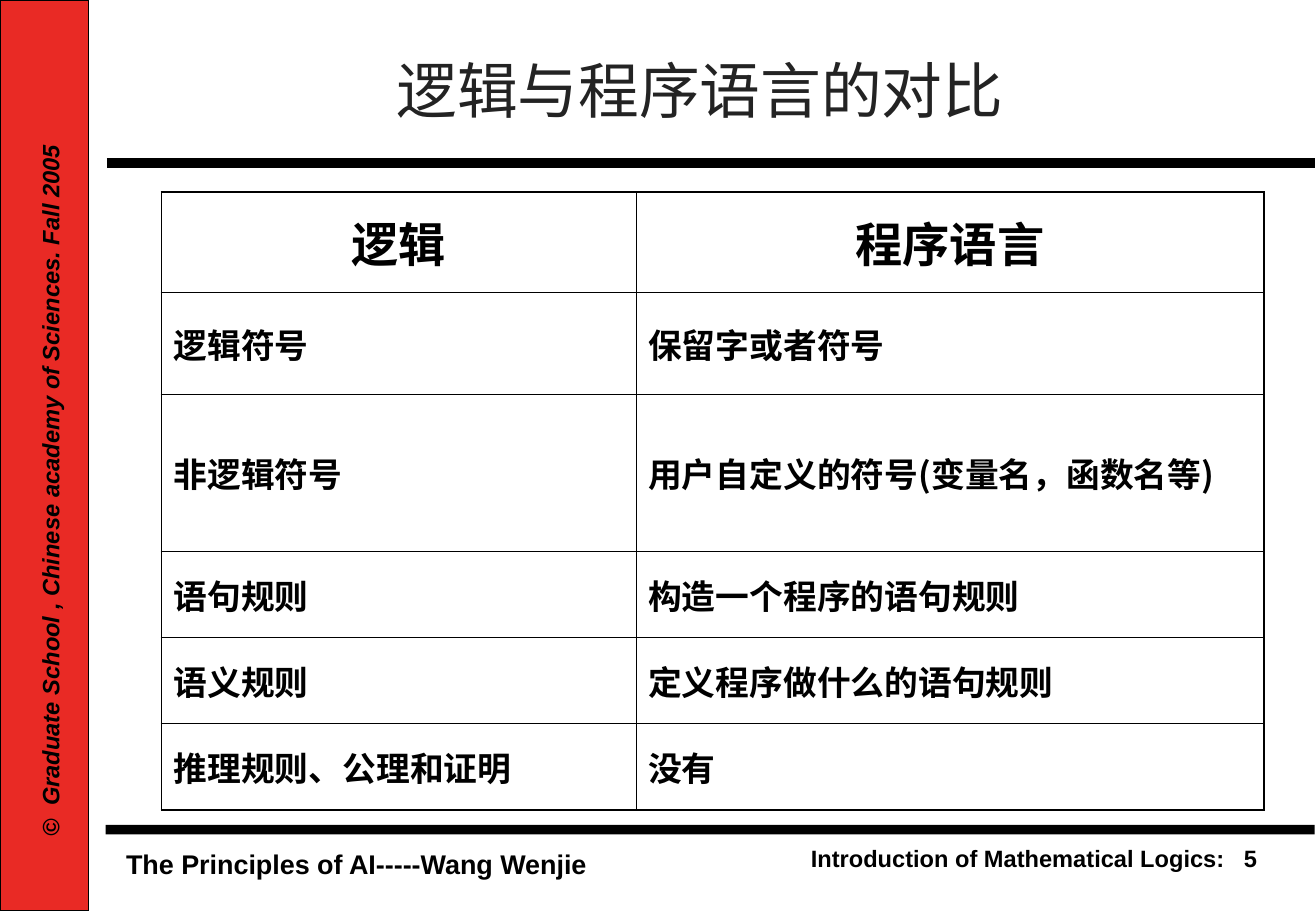
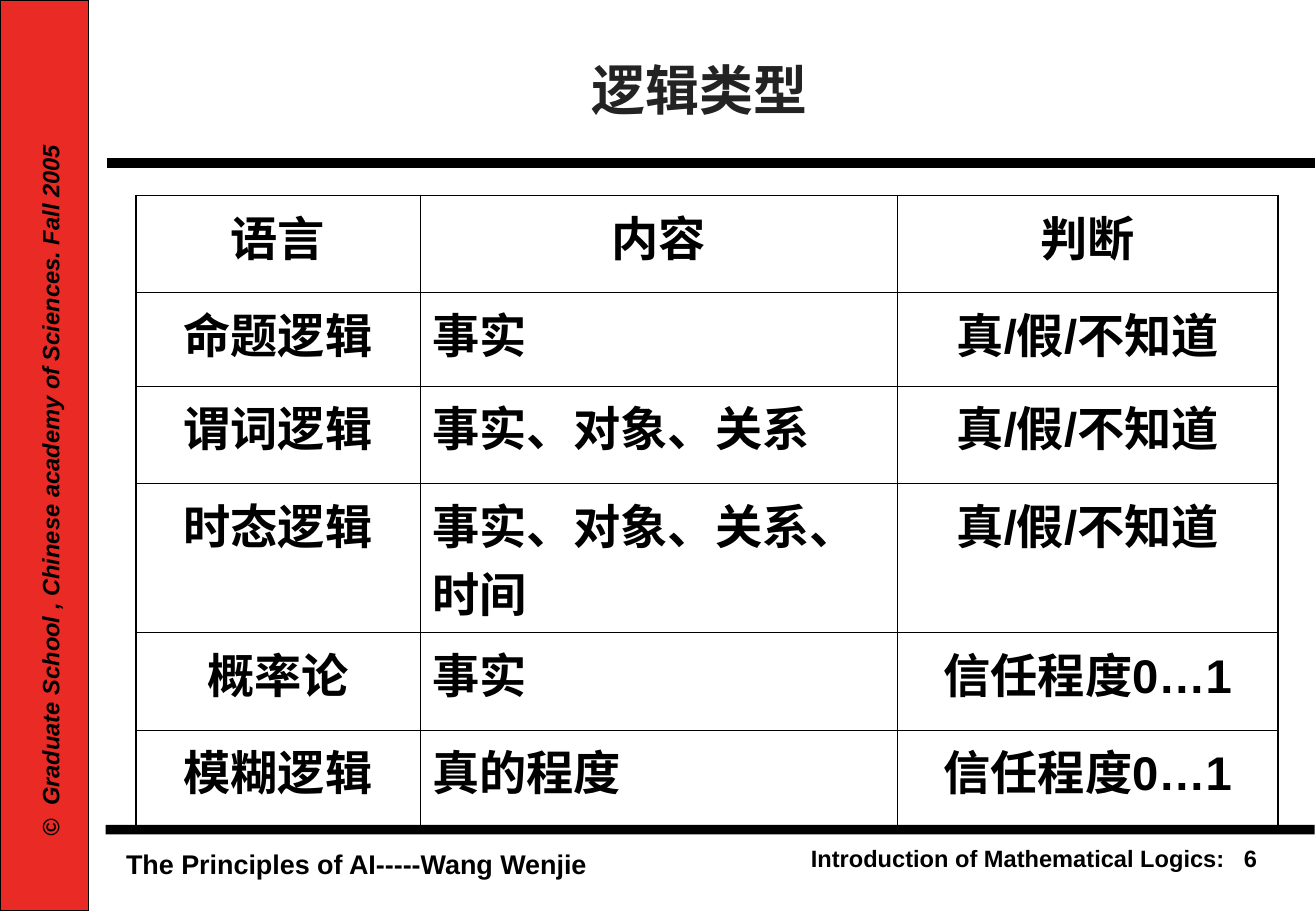
from lxml.etree import SubElement
from pptx import Presentation
from pptx.dml.color import RGBColor
from pptx.enum.shapes import MSO_CONNECTOR, MSO_SHAPE
from pptx.enum.text import MSO_ANCHOR, MSO_AUTO_SIZE, PP_ALIGN
from pptx.oxml.ns import qn
from pptx.util import Inches, Pt

BLACK, RED, GREY = "000000", "E92A25", "232323"
CJK = "Noto Sans CJK SC"
LEFT, MID, RIGHT = PP_ALIGN.LEFT, PP_ALIGN.CENTER, PP_ALIGN.RIGHT
THICK, THIN = 1.08, 0.45


def color(code):
    return RGBColor.from_string(code)


def write(frame, text, size=14, font="Arial", tint=BLACK, bold=True,
          italic=False, align=LEFT, before=0, after=0):
    para = frame.paragraphs[0]
    para.alignment = align
    para.space_before, para.space_after = Pt(before), Pt(after)
    run = para.add_run()
    run.text = text
    face = run.font
    face.size, face.name, face.bold, face.italic = Pt(size), font, bold, italic
    face.color.rgb = color(tint)
    SubElement(run._r.get_or_add_rPr(), qn("a:ea"), typeface=CJK)


pages = [
    dict(
        title="逻辑与程序语言的对比",
        style=dict(size=36, font="Montserrat", bold=False),
        left=1.33, top=1.58, anchor=MSO_ANCHOR.MIDDLE,
        cols=[3.91, 5.17], heights=[0.83, 0.84, 1.29, 0.71, 0.71, 0.71],
        aligns=[LEFT, LEFT],
        body=dict(size=20, font=CJK, before=7.5, after=5),
        rows=[
            ["逻辑", "程序语言"],
            ["逻辑符号", "保留字或者符号"],
            ["非逻辑符号", "用户自定义的符号(变量名，函数名等)"],
            ["语句规则", "构造一个程序的语句规则"],
            ["语义规则", "定义程序做什么的语句规则"],
            ["推理规则、公理和证明", "没有"],
        ],
    ),
    dict(
        title="逻辑类型",
        style=dict(size=32),
        left=1.12, top=1.61, anchor=MSO_ANCHOR.TOP,
        cols=[2.34, 3.93, 3.14], heights=[0.8, 0.77, 0.8, 1.23, 0.8, 0.8],
        aligns=[MID, LEFT, MID],
        body=dict(size=28, before=10.5, after=7),
        rows=[
            ["语言", "内容", "判断"],
            ["命题逻辑", "事实", "真/假/不知道"],
            ["谓词逻辑", "事实、对象、关系", "真/假/不知道"],
            ["时态逻辑", "事实、对象、关系、时间", "真/假/不知道"],
            ["概率论", "事实", "信任程度0…1"],
            ["模糊逻辑", "真的程度", "信任程度0…1"],
        ],
    ),
]
head = dict(size=28, before=10.5, after=7, align=MID)

prs = Presentation()
prs.slide_width, prs.slide_height = Inches(10.84), Inches(7.5)

for number, page in enumerate(pages, 5):
    slide = prs.slides.add_slide(prs.slide_layouts[5])
    shapes = slide.shapes

    # Side band and footer bar
    for box, fill, edge in [((0.87, 6.79, 9.96, 0.08), BLACK, None),
                            ((0, 0, 0.73, 7.5), RED, BLACK)]:
        band = shapes.add_shape(MSO_SHAPE.RECTANGLE, *map(Inches, box))
        band.shadow.inherit = False
        band.fill.solid()
        band.fill.fore_color.rgb = color(fill)
        if edge:
            band.line.color.rgb = color(edge)
            band.line.width = Pt(1)
        else:
            band.line.fill.background()

    # Rule under the title
    rule = shapes.add_connector(MSO_CONNECTOR.STRAIGHT, Inches(0.88),
                                Inches(1.34), Inches(10.83), Inches(1.34))
    rule.line.color.rgb = color(BLACK)
    rule.line.width = Pt(6)
    SubElement(rule._element.spPr, qn("a:effectLst"))

    # Footer and side texts
    for text, box, wrap, turn, style in [
        ("The Principles of AI-----Wang Wenjie",
         (0.94, 6.93, 4.02, 0.36), False, 0, dict(size=16)),
        (f"Introduction of Mathematical Logics:   {number}",
         (6.47, 6.9, 3.99, 0.33), True, 0, dict(align=RIGHT)),
        ("©  Graduate School , Chinese academy of Sciences. Fall 2005",
         (-2.53, 3.87, 5.89, 0.34), False, 270, dict(italic=True)),
    ]:
        label = shapes.add_textbox(*map(Inches, box))
        label.rotation = turn
        label.text_frame.word_wrap = wrap
        label.text_frame.auto_size = MSO_AUTO_SIZE.SHAPE_TO_FIT_TEXT
        write(label.text_frame, text, **style)

    # Title
    title = shapes.title
    title.left, title.top = Inches(1.17), Inches(0.22)
    title.width, title.height = Inches(9.19), Inches(1.03)
    title.text_frame.auto_size = MSO_AUTO_SIZE.NONE
    title.text_frame.vertical_anchor = MSO_ANCHOR.MIDDLE
    write(title.text_frame, page["title"], tint=GREY, align=MID,
          **page["style"])

    # Table: thick outer frame, thin inner lines
    rows, cols, heights = page["rows"], page["cols"], page["heights"]
    table = shapes.add_table(
        len(rows), len(cols), Inches(page["left"]), Inches(page["top"]),
        Inches(sum(cols)), Inches(sum(heights))).table
    for col, width in zip(table.columns, cols):
        col.width = Inches(width)
    for r, (row, height) in enumerate(zip(rows, heights)):
        table.rows[r].height = Inches(height)
        for c, text in enumerate(row):
            cell = table.cell(r, c)
            cell.vertical_anchor = page["anchor"]
            style = page["body"] | dict(align=page["aligns"][c])
            write(cell.text_frame, text, **(style if r else head))
            props = cell._tc.get_or_add_tcPr()
            for side, outer in [("L", c == 0), ("R", c == len(cols) - 1),
                                ("T", r == 0), ("B", r == len(rows) - 1)]:
                width = Pt(THICK if outer else THIN)
                line = SubElement(props, qn(f"a:ln{side}"), w=str(width))
                fill = SubElement(line, qn("a:solidFill"))
                SubElement(fill, qn("a:srgbClr"), val=BLACK)
            cell.fill.background()

prs.save("out.pptx")
